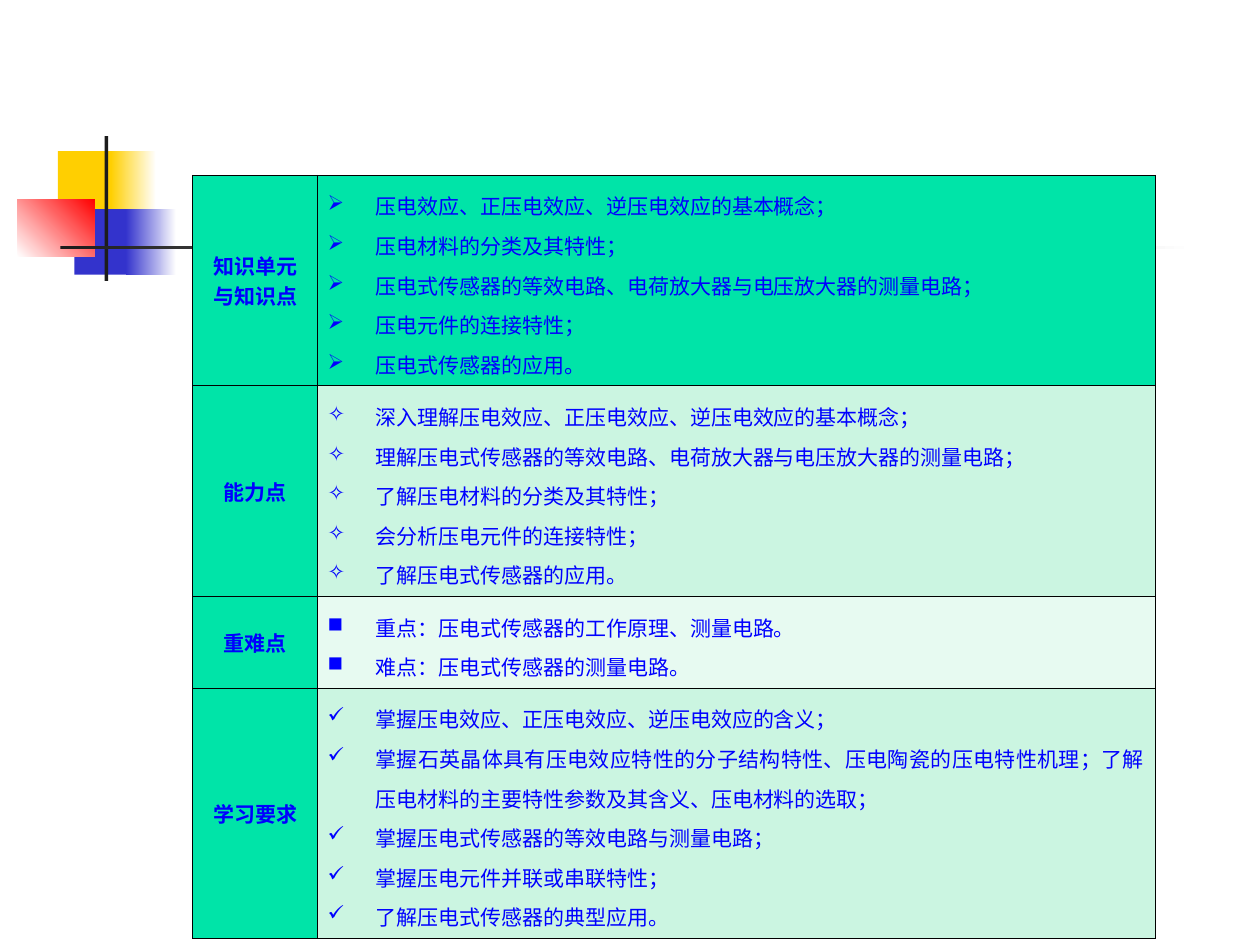
from dataclasses import dataclass

from lxml import etree
from pptx import Presentation
from pptx import util as u
from pptx.dml.color import RGBColor
from pptx.enum import shapes, text
from pptx.oxml import ns

# The slide is a grid of 1000 columns by 750 rows
COLS, ROWS = 1000, 750
UNIT = u.Inches(10) // COLS

FONT = "Noto Sans CJK SC"
BLUE, BLACK, WHITE = "0000FF", "000000", "FFFFFF"
GREEN, MINT, PALE = "00E4A8", "CBF5E1", "E7FAF1"
YELLOW, INDIGO, RED, DARK = "FFCF01", "3333CC", "FF0000", "1C1C1C"
INDENT = 38


@dataclass
class Block:
    left: int
    top: int
    wide: int
    high: int
    tint: str
    fade: str = ""
    angle: int = 0


@dataclass
class Topic:
    title: str
    high: int
    tint: str
    mark: str
    items: list[str]
    align: text.PP_ALIGN = text.PP_ALIGN.LEFT


BLOCKS = [
    Block(46, 120, 48, 52, YELLOW),
    Block(88, 120, 36, 52, YELLOW, WHITE),
    Block(59, 166, 46, 52, INDIGO),
    Block(100, 166, 40, 52, INDIGO, WHITE),
    Block(14, 158, 61, 46, WHITE, RED, 45),
    Block(83, 108, 3, 115, DARK),
    Block(48, 195, 900, 3, DARK, WHITE),
]

TOPICS = [
    Topic("知识单元与知识点", 154, GREEN, "➢", [
        "压电效应、正压电效应、逆压电效应的基本概念；",
        "压电材料的分类及其特性；",
        "压电式传感器的等效电路、电荷放大器与电压放大器的测量电路；",
        "压电元件的连接特性；",
        "压电式传感器的应用。",
    ]),
    Topic("能力点", 154, MINT, "✧", [
        "深入理解压电效应、正压电效应、逆压电效应的基本概念；",
        "理解压电式传感器的等效电路、电荷放大器与电压放大器的测量电路；",
        "了解压电材料的分类及其特性；",
        "会分析压电元件的连接特性；",
        "了解压电式传感器的应用。",
    ]),
    Topic("重难点", 61, PALE, "■", [
        "重点：压电式传感器的工作原理、测量电路。",
        "难点：压电式传感器的测量电路。",
    ]),
    Topic("学习要求", 185, MINT, "✓", [
        "掌握压电效应、正压电效应、逆压电效应的含义；",
        "掌握石英晶体具有压电效应特性的分子结构特性、压电陶瓷的压电特性机理；"
        "了解压电材料的主要特性参数及其含义、压电材料的选取；",
        "掌握压电式传感器的等效电路与测量电路；",
        "掌握压电元件并联或串联特性；",
        "了解压电式传感器的典型应用。",
    ], text.PP_ALIGN.JUSTIFY),
]


def span(count: int) -> u.Emu:
    return u.Emu(count * UNIT)


def color(code: str) -> RGBColor:
    return RGBColor.from_string(code)


def add(node, tag: str, **attrs: str):
    return etree.SubElement(node, ns.qn(tag), attrs)


def draw(slide, block: Block) -> None:
    box = slide.shapes.add_shape(
        shapes.MSO_SHAPE.RECTANGLE, span(block.left), span(block.top),
        span(block.wide), span(block.high))
    box.shadow.inherit = False
    box.line.fill.background()
    if block.fade:
        box.fill.gradient()
        box.fill.gradient_angle = block.angle
        for stop, code in zip(box.fill.gradient_stops, (block.tint, block.fade)):
            stop.color.rgb = color(code)
    else:
        box.fill.solid()
        box.fill.fore_color.rgb = color(block.tint)


def write(para, words: str, *, align: text.PP_ALIGN, bold: bool = False,
          mark: str = "", lead: float = 1.0, size: int = 12, tint: str = BLUE) -> None:
    if mark:
        props = para._p.get_or_add_pPr()
        props.set("marL", str(span(INDENT)))
        props.set("indent", str(-span(INDENT)))
        add(add(props, "a:buClr"), "a:srgbClr", val=tint)
        add(props, "a:buChar", char=mark)
    para.alignment = align
    para.line_spacing = lead
    run = para.add_run()
    run.text = words
    font = run.font
    font.size, font.bold, font.name = u.Pt(size), bold, FONT
    font.color.rgb = color(tint)
    add(font._element, "a:ea", typeface=FONT)


def style(cell, tint: str) -> None:
    props = cell._tc.get_or_add_tcPr()
    for side in ("L", "R", "T", "B"):
        line = add(props, f"a:ln{side}", w=str(u.Pt(0.45)))
        add(add(line, "a:solidFill"), "a:srgbClr", val=BLACK)
    cell.fill.solid()
    cell.fill.fore_color.rgb = color(tint)
    cell.vertical_anchor = text.MSO_ANCHOR.MIDDLE
    cell.margin_left = cell.margin_right = span(8)
    cell.margin_top = cell.margin_bottom = span(5)


def tabulate(slide, topics: list[Topic]) -> None:
    wides = (99, 665)
    table = slide.shapes.add_table(
        len(topics), len(wides), span(153), span(139),
        span(sum(wides)), span(sum(t.high for t in topics))).table
    table.first_row = table.horz_banding = False
    for col, wide in zip(table.columns, wides):
        col.width = span(wide)
    for row, topic in zip(table.rows, topics):
        row.height = span(topic.high)
        head, body = row.cells
        style(head, GREEN)
        style(body, topic.tint)
        write(head.text_frame.paragraphs[0], topic.title,
              align=text.PP_ALIGN.CENTER, bold=True)
        frame = body.text_frame
        for i, item in enumerate(topic.items):
            para = frame.add_paragraph() if i else frame.paragraphs[0]
            write(para, item, align=topic.align, mark=topic.mark, lead=1.3)


def main() -> None:
    deck = Presentation()
    deck.slide_width, deck.slide_height = span(COLS), span(ROWS)
    slide = deck.slides.add_slide(deck.slide_layouts[6])
    # Corner ornament
    for block in BLOCKS:
        draw(slide, block)
    # Course outline
    tabulate(slide, TOPICS)
    deck.save("out.pptx")


if __name__ == "__main__":
    main()
